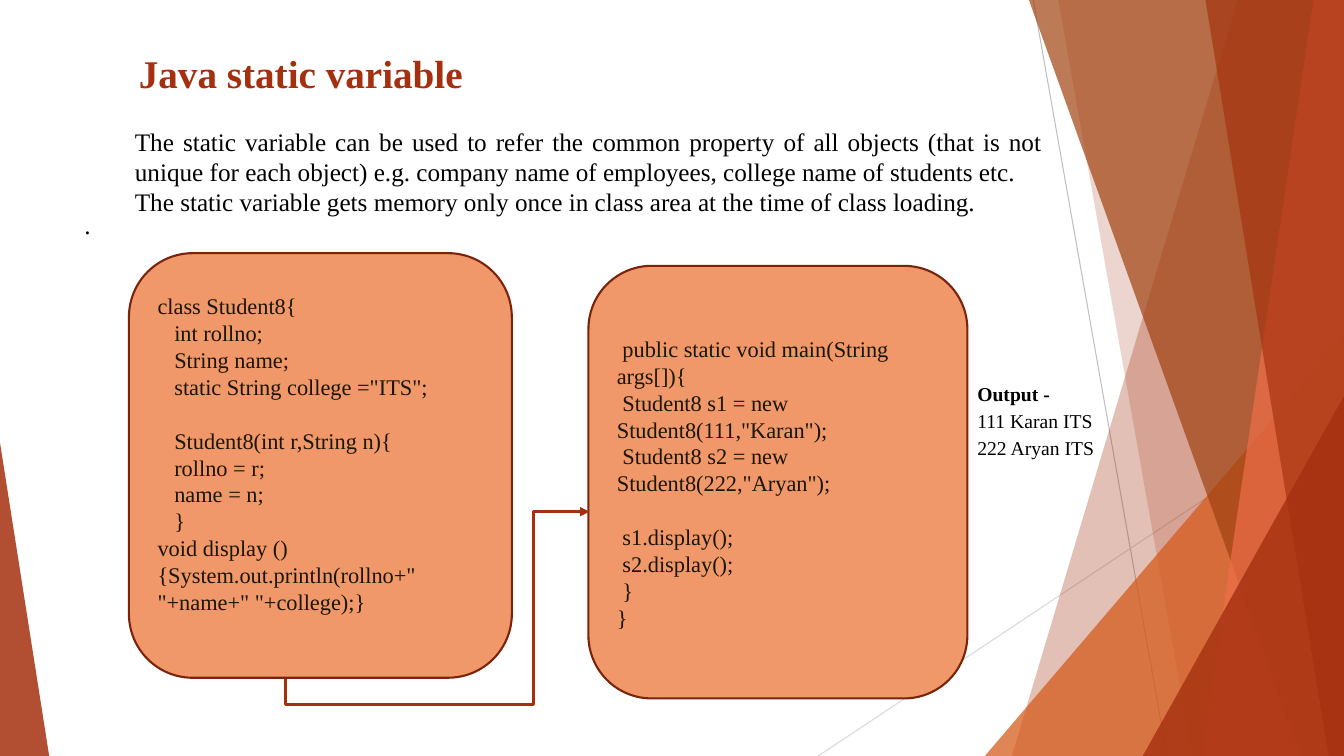
from pptx import Presentation
from pptx.dml.color import RGBColor
from pptx.enum.shapes import MSO_CONNECTOR as Link, MSO_SHAPE as Kind
from pptx.enum.text import MSO_ANCHOR as Anchor, PP_ALIGN as Align
from pptx.oxml.ns import qn
from pptx.util import Cm, Pt
from lxml.etree import SubElement

WIDE, HIGH = 33.87, 19.05
FONT = "Times New Roman"
HUES = {"rust": "A5300F", "orange": "D55816", "brown": "A04210", "coral": "EE6E4A",
        "peach": "F09869", "edge": "7A240B", "ink": "1A1504", "black": "000000",
        "gray": "BFBFBF", "pale": "D9D9D9"}

RAYS = [((26.04, 0), (29.41, HIGH), "gray"), ((WIDE, 10.24), (20.62, HIGH), "pale")]
SHARDS = [
    ("band", (31.19, 25.5), "rust", 30),
    ("band", (26.67, 30.05), "rust", 20),
    ("peak", (24.82, 8.46, 9.05, 1), "orange", 72),
    ("band", (25.93, 32.79), "brown", 70),
    ("band", (33.1, 30.28), "coral", 70),
    ("band", (30.38, 33.48), "rust", 65),
    ("peak", (28.8, 9.98, 5.07, 1), "rust", 80),
    ("peak", (0, 11.15, 1.24, 0), "rust", 85),
]

TITLE = ["Java static variable"]
FACTS = [
    "The static variable can be used to refer the common property of all objects "
    "(that is not unique for each object) e.g. company name of employees, "
    "college name of students etc.",
    "The static variable gets memory only once in class area at the time of class loading.",
]
OUTPUT = ["Output -", "111 Karan ITS", "222 Aryan ITS"]

# (box, top inset, [(line, left indent pt, first-line indent pt, space before pt)])
GAP = 19.2
CODE = [
    ((3.25, 6.38, 9.65, 10.7), 0.52, [
        ("class Student8{", 0, 0, 0),
        ("int rollno;", 12, 0, 0),
        ("String name;", 12, 0, 0),
        ('static String college ="ITS";', 12, 0, 0),
        ("Student8(int r,String n){", 12, 0, GAP),
        ("rollno = r;", 12, 0, 0),
        ("name = n;", 12, 0, 0),
        ("}", 12, 0, 0),
        ('void display (){System.out.println(rollno+" "+name+" "+college);}', 0, 0, 0),
    ]),
    ((14.83, 6.7, 9.55, 10.9), 1.28, [
        ("public static void main(String args[]){", 0, 4, 0),
        ('Student8 s1 = new Student8(111,"Karan");', 0, 4, 0),
        ('Student8 s2 = new Student8(222,"Aryan");', 0, 4, 0),
        ("s1.display();", 0, 4, GAP),
        ("s2.display();", 0, 4, 0),
        ("}", 0, 4, 0),
        ("}", 0, 0, 0),
    ]),
]
ARROW = {"box": (8.92, 11.18, 4.22, 7.65), "bends": (-15100, 81600)}


def hue(name):
    return RGBColor.from_string(HUES[name])


def paint(shape, name, alpha=100, edge=None):
    shape.shadow.inherit = False
    shape.fill.solid()
    shape.fill.fore_color.rgb = hue(name)
    if alpha < 100:
        tint = shape.fill._xPr.find(".//" + qn("a:srgbClr"))
        SubElement(tint, qn("a:alpha")).set("val", str(alpha * 1000))
    if edge:
        shape.line.color.rgb = hue(edge)
        shape.line.width = Pt(1.5)
    else:
        shape.line.fill.background()


def stroke(link, name, width):
    link.line.color.rgb = hue(name)
    link.line.width = Pt(width)
    SubElement(link._element.spPr, qn("a:effectLst"))


def write(frame, lines, size, name, align=Align.LEFT, bold=False):
    frame.word_wrap = True
    frame.vertical_anchor = Anchor.TOP
    frame.text = "\n".join(lines)
    for para in frame.paragraphs:
        para.alignment = align
        for run in para.runs:
            run.font.name, run.font.size = FONT, Pt(size)
            run.font.bold, run.font.color.rgb = bold, hue(name)
    return frame.paragraphs


def label(box, *style):
    return write(slide.shapes.add_textbox(*map(Cm, box)).text_frame, *style)


deck = Presentation()
deck.slide_width, deck.slide_height = Cm(WIDE), Cm(HIGH)
slide = deck.slides.add_slide(deck.slide_layouts[6])
shapes = slide.shapes

for start, end, name in RAYS:
    stroke(shapes.add_connector(Link.STRAIGHT, *map(Cm, start + end)), name, 0.75)

for kind, place, name, alpha in SHARDS:
    if kind == "band":
        top, foot = place
        pen = shapes.build_freeform(Cm(top), 0)
        pen.add_line_segments([(Cm(x), Cm(y)) for x, y in
                               [(WIDE, 0), (WIDE, HIGH), (foot, HIGH)]])
        shard = pen.convert_to_shape()
    else:
        left, top, width, tip = place
        shard = shapes.add_shape(Kind.ISOSCELES_TRIANGLE,
                                 *map(Cm, (left, top, width, HIGH - top)))
        shard.adjustments[0] = tip
    paint(shard, name, alpha)

label((3.25, 1.12, 23.09, 3.07), TITLE, 28, "rust", Align.LEFT, True)
label((1.88, 5.16, 1.2, 1.02), ["."], 18, "black")
label((3.15, 3.05, 23.37, 3.33), FACTS, 18, "black", Align.JUSTIFY)

for box, inset, lines in CODE:
    card = shapes.add_shape(Kind.ROUNDED_RECTANGLE, *map(Cm, box))
    paint(card, "peach", edge="edge")
    card.text_frame.margin_top = Cm(inset)
    paras = write(card.text_frame, [line[0] for line in lines], 16, "ink")
    for para, (_, left, first, space) in zip(paras, lines):
        para.space_before = Pt(space)
        props = para._p.get_or_add_pPr()
        props.set("marL", str(Pt(left)))
        props.set("indent", str(Pt(first)))

arrow = shapes.add_connector(Link.ELBOW, 0, 0, Cm(1), Cm(1))
arrow.left, arrow.top, arrow.width, arrow.height = map(Cm, ARROW["box"])
frame = arrow._element.spPr.find(qn("a:xfrm"))
for key, value in (("rot", "5400000"), ("flipH", "1"), ("flipV", "1")):
    frame.set(key, value)
shape = arrow._element.spPr.find(qn("a:prstGeom"))
shape.set("prst", "bentConnector4")
bends = shape.find(qn("a:avLst"))
if bends is None:
    bends = SubElement(shape, qn("a:avLst"))
for spot, bend in enumerate(ARROW["bends"], 1):
    guide = SubElement(bends, qn("a:gd"))
    guide.set("name", f"adj{spot}")
    guide.set("fmla", f"val {bend}")
stroke(arrow, "rust", 2.25)
SubElement(arrow.line._get_or_add_ln(), qn("a:tailEnd")).set("type", "triangle")

result = label((24.38, 9.4, 3.56, 2.26), OUTPUT, 14, "black")
for para in result:
    para.line_spacing = 1.15
result[0].runs[0].font.bold = True

deck.save("out.pptx")
